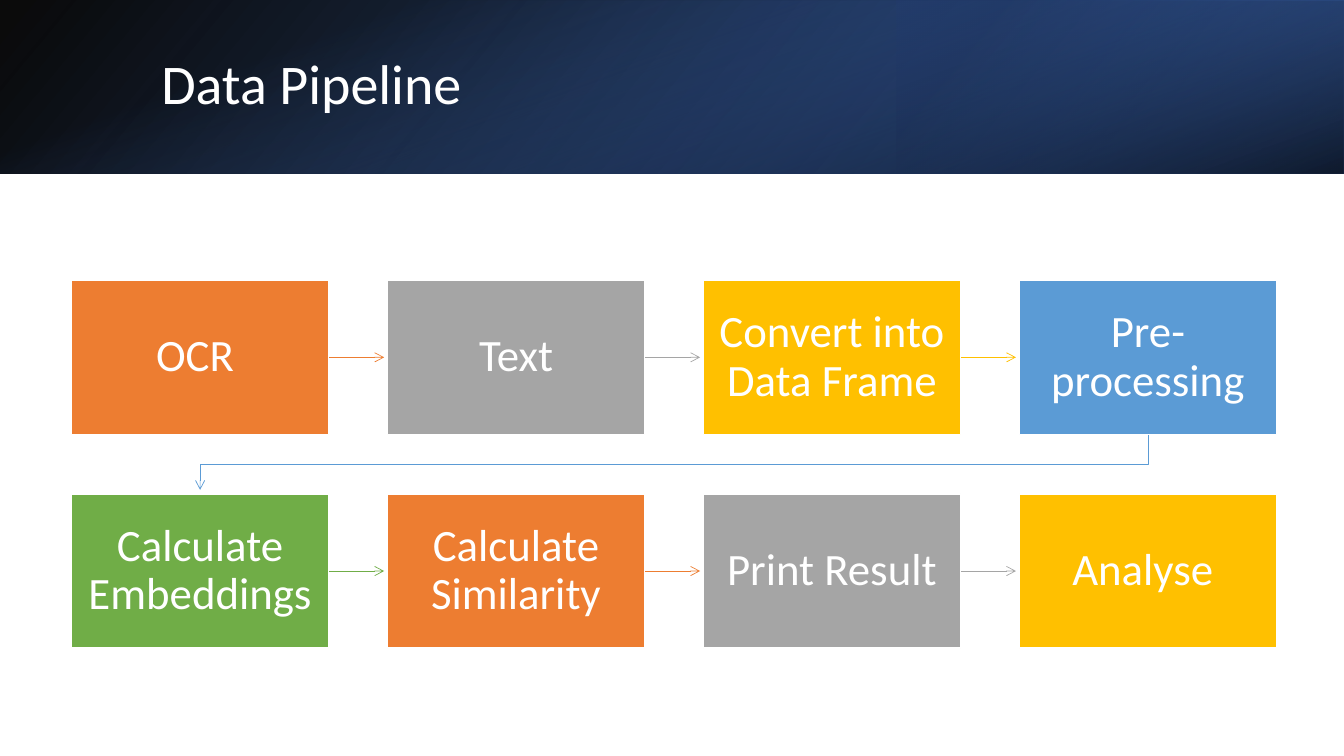
"""Build the Data Pipeline slide: a gradient header over eight linked steps."""
from itertools import cycle

from lxml.etree import SubElement
from pptx import Presentation
from pptx.dml.color import RGBColor
from pptx.enum.shapes import MSO_CONNECTOR, MSO_SHAPE
from pptx.enum.text import MSO_ANCHOR, PP_ALIGN
from pptx.oxml.ns import qn
from pptx.util import Inches, Pt

WHITE = RGBColor(0xFF, 0xFF, 0xFF)
BLACK = RGBColor(0x00, 0x00, 0x00)
NAVY = RGBColor(0x20, 0x38, 0x64)
DEEP_BLUE = RGBColor(0x2F, 0x55, 0x97)
ROYAL_BLUE = RGBColor(0x44, 0x72, 0xC4)
ORANGE = RGBColor(0xED, 0x7D, 0x31)
GREY = RGBColor(0xA5, 0xA5, 0xA5)
GOLD = RGBColor(0xFF, 0xC0, 0x00)
BLUE = RGBColor(0x5B, 0x9B, 0xD5)
GREEN = RGBColor(0x70, 0xAD, 0x47)

WIDTH, HEADER_HEIGHT = 13.33, 1.72
BOX_WIDTH, BOX_HEIGHT = 2.55, 1.53
LEFT, TOP = 0.71, 2.78
COLUMNS, COLUMN_STEP, ROW_STEP = 4, 9.4 / 3, 2.12
ARROW_LENGTH = 0.55


def write(shape, text, size, align, margins):
    frame = shape.text_frame
    frame.word_wrap = True
    frame.vertical_anchor = MSO_ANCHOR.MIDDLE
    frame.margin_left = frame.margin_right = Inches(margins[0])
    frame.margin_top = frame.margin_bottom = Inches(margins[1])
    para = frame.paragraphs[0]
    para.alignment = align
    para.line_spacing = 0.9
    span = para.add_run()
    span.text = text
    span.font.name = "Calibri"
    span.font.size = Pt(size)
    span.font.color.rgb = WHITE


def style_arrow(arrow, color):
    arrow.line.color.rgb = color
    arrow.line.width = Pt(0.5)
    SubElement(arrow.line._get_or_add_ln(), qn("a:tailEnd"), type="arrow")
    SubElement(arrow._element.spPr, qn("a:effectLst"))


deck = Presentation()
deck.slide_width, deck.slide_height = Inches(WIDTH), Inches(7.5)
page = deck.slides.add_slide(deck.slide_layouts[5])

header_layers = [
    ((0, 0, WIDTH, HEADER_HEIGHT), 0, True, 140,
     [(0, BLACK, 96), (1, DEEP_BLUE, 100)]),
    ((8.89, 0, 4.44, HEADER_HEIGHT), 180, True, 320,
     [(0.19, NAVY, 68), (1, ROYAL_BLUE, 79)]),
    ((5.8, -5.8, HEADER_HEIGHT, WIDTH), 90, False, 340,
     [(0.23, ROYAL_BLUE, 0), (0.99, BLACK, 74)]),
]
for place, rotation, flipped, angle, stops in header_layers:
    layer = page.shapes.add_shape(MSO_SHAPE.RECTANGLE, *map(Inches, place))
    layer.shadow.inherit = False
    layer.line.fill.background()
    layer.rotation = rotation
    if flipped:
        layer._element.spPr.xfrm.set("flipH", "1")
    layer.fill.gradient()
    layer.fill.gradient_angle = 360 - angle
    for stop, (position, color, _) in zip(layer.fill.gradient_stops, stops):
        stop.position = position
        stop.color.rgb = color
    tints = layer._element.spPr.iter(qn("a:srgbClr"))
    for tint, (_, _, opacity) in zip(list(tints), stops):
        SubElement(tint, qn("a:alpha"), val=str(opacity * 1000))

title = page.shapes.title
title.left, title.top = Inches(1.5), Inches(0.38)
title.width, title.height = Inches(10.98), Inches(0.96)
write(title, "Data Pipeline", 40, PP_ALIGN.LEFT, (0.1, 0.05))
page.shapes._spTree.append(title._element)

steps = ["OCR ", "Text", "Convert into Data Frame", "Pre-processing",
         "Calculate Embeddings", "Calculate Similarity", "Print Result",
         "Analyse "]
palette = cycle([ORANGE, GREY, GOLD, BLUE, GREEN])
for index, (step, color) in enumerate(zip(steps, palette)):
    row, column = divmod(index, COLUMNS)
    left, top = LEFT + column * COLUMN_STEP, TOP + row * ROW_STEP
    right, middle = left + BOX_WIDTH, top + BOX_HEIGHT / 2

    if column < COLUMNS - 1:
        arrow = page.shapes.add_connector(
            MSO_CONNECTOR.STRAIGHT, Inches(right), Inches(middle),
            Inches(right + ARROW_LENGTH), Inches(middle))
        style_arrow(arrow, color)
    elif index < len(steps) - 1:
        start, end = left + BOX_WIDTH / 2, LEFT + BOX_WIDTH / 2
        bottom = top + BOX_HEIGHT
        turn = bottom + (ROW_STEP - BOX_HEIGHT) / 2
        builder = page.shapes.build_freeform(Inches(start), Inches(bottom))
        corners = [(start, turn), (end, turn), (end, bottom + ARROW_LENGTH)]
        builder.add_line_segments(
            [(Inches(x), Inches(y)) for x, y in corners], close=False)
        bend = builder.convert_to_shape()
        bend.fill.background()
        style_arrow(bend, color)

    box = page.shapes.add_shape(
        MSO_SHAPE.RECTANGLE, Inches(left), Inches(top),
        Inches(BOX_WIDTH), Inches(BOX_HEIGHT))
    box.shadow.inherit = False
    box.fill.solid()
    box.fill.fore_color.rgb = color
    box.line.color.rgb = WHITE
    box.line.width = Pt(1)
    write(box, step, 32, PP_ALIGN.CENTER, (0.12, 0.13))

deck.save("out.pptx")
